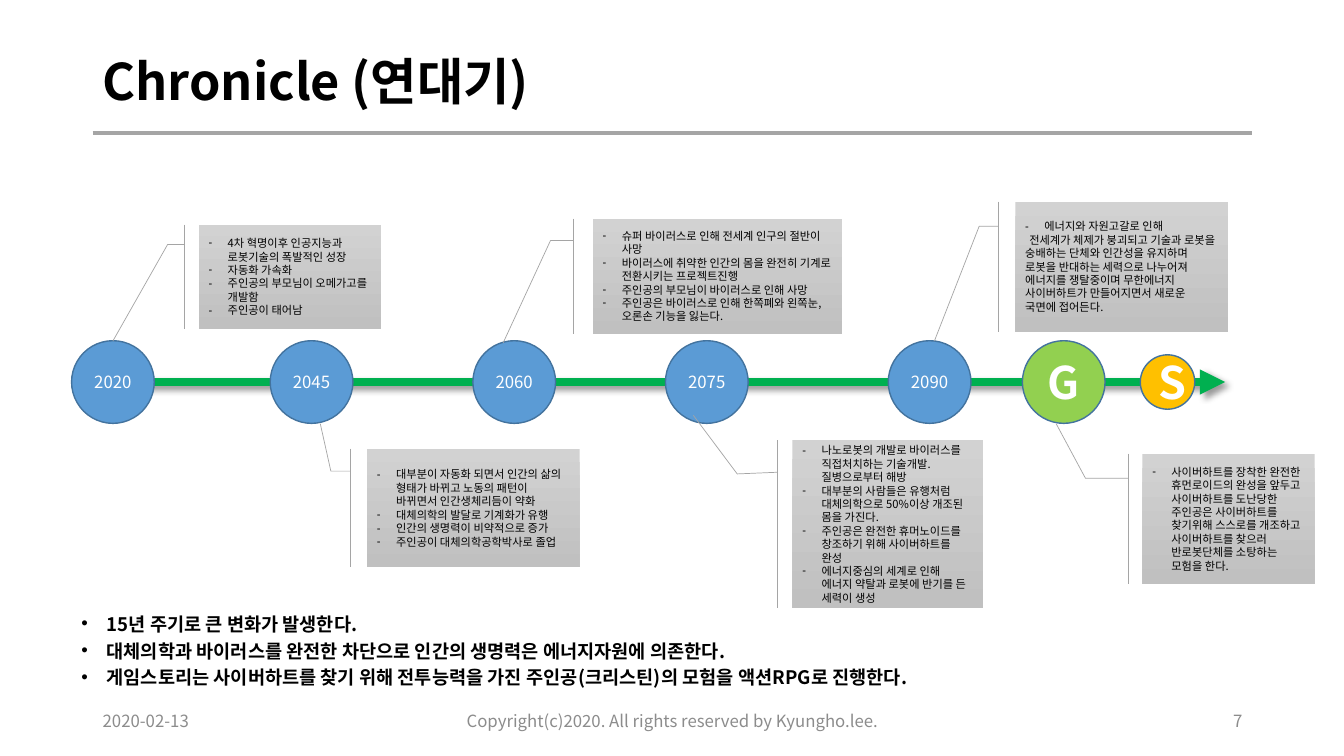
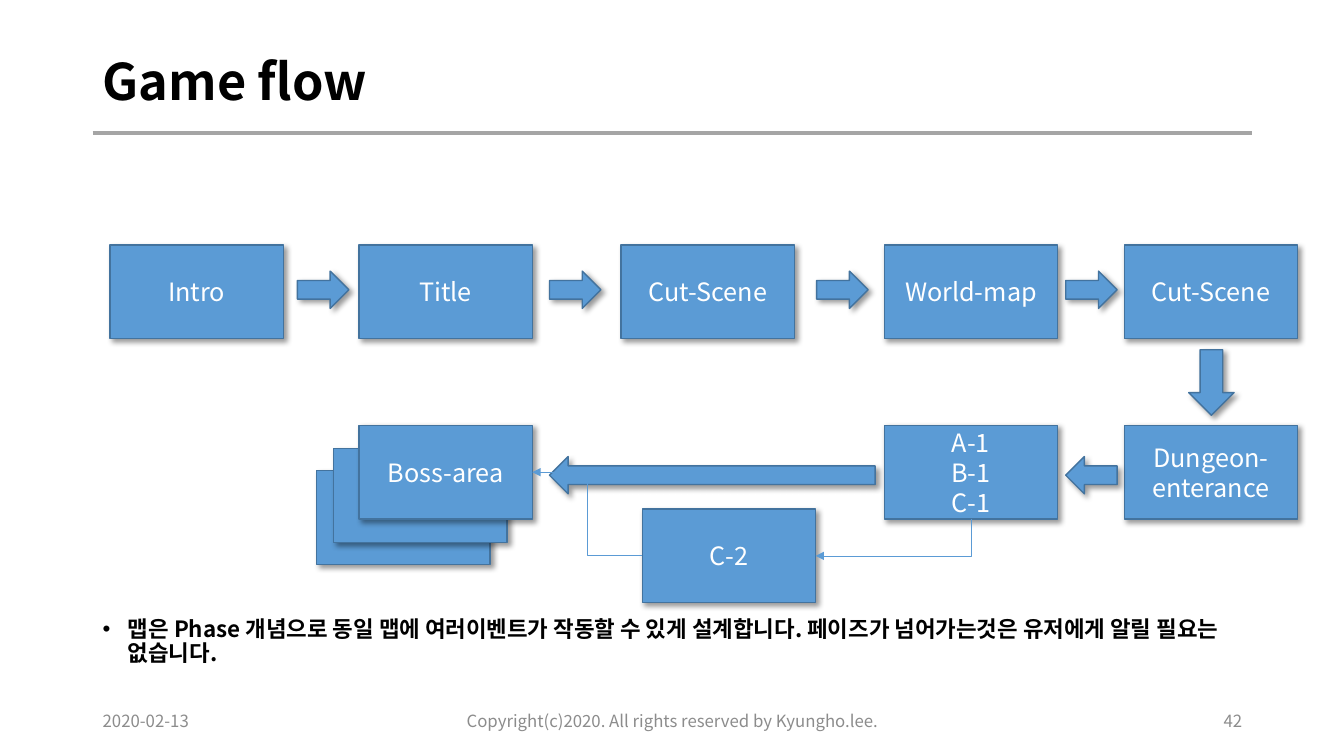
from dataclasses import dataclass
from typing import Any

from lxml.etree import SubElement
from pptx import Presentation
from pptx.dml.color import RGBColor
from pptx.enum.shapes import MSO_CONNECTOR, MSO_SHAPE
from pptx.enum.text import MSO_ANCHOR, PP_ALIGN
from pptx.oxml.ns import qn
from pptx.util import Inches, Pt

BLACK = RGBColor(0x00, 0x00, 0x00)
WHITE = RGBColor(0xFF, 0xFF, 0xFF)
GRAY = RGBColor(0xA5, 0xA5, 0xA5)
MUTED = RGBColor(0x8C, 0x8C, 0x8C)
LIGHT = RGBColor(0xD2, 0xD2, 0xD2)
DARK = RGBColor(0xC0, 0xC0, 0xC0)
BLUE = RGBColor(0x5B, 0x9B, 0xD5)
EDGE = RGBColor(0x43, 0x73, 0x9E)
GREEN = RGBColor(0x00, 0xB0, 0x50)
LIME = RGBColor(0x92, 0xD0, 0x50)
GOLD = RGBColor(0xFF, 0xC0, 0x00)
FONT = "Noto Sans CJK KR"

AXIS = 3.79
BOX_W, BOX_H = 1.72, 0.93
TOP_ROW, LOW_ROW = 2.43, 4.22
ARROW_W, ARROW_H = 0.51, 0.37


@dataclass
class Disc:
    label: str
    mid: float
    size: float = 0.82
    fill: RGBColor = BLUE
    points: float = 12
    bold: bool = False


@dataclass
class Note:
    left: float
    top: float
    width: float
    height: float
    lines: list[str]
    bend: tuple[float, ...] = (0.19, -0.17)
    tip: tuple[float, ...] = (1.12, -0.47)
    tail: str = ""


@dataclass
class Box:
    label: str
    left: float
    top: float


@dataclass
class Arrow:
    kind: MSO_SHAPE
    left: float
    top: float
    width: float = ARROW_W
    height: float = ARROW_H


DISCS = [
    Disc("2020", 1.12),
    Disc("2045", 3.09),
    Disc("2060", 5.1),
    Disc("2075", 7.01),
    Disc("2090", 9.22),
    Disc("G", 10.55, fill=LIME, points=32, bold=True),
    Disc("S", 11.58, 0.54, GOLD, 32, True),
]

NOTES = [
    Note(1.97, 2.23, 1.81, 1.03, [
        "4차 혁명이후 인공지능과 로봇기술의 폭발적인 성장",
        "자동화 가속화",
        "주인공의 부모님이 오메가고를 개발함",
        "주인공이 태어남",
    ]),
    Note(3.64, 4.45, 2.11, 1.18, [
        "대부분이 자동화 되면서 인간의 삶의 형태가 바뀌고 노동의 패턴이 바뀌면서 인간생체리듬이 약화",
        "대체의학의 발달로 기계화가 유행",
        "인간의 생명력이 비약적으로 증가",
        "주인공이 대체의학공학박사로 졸업",
    ], tip=(-0.21, -0.22)),
    Note(7.86, 4.37, 1.89, 1.66, [
        "나노로봇의 개발로 바이러스를 직접처치하는 기술개발. 질병으로부터 해방",
        "대부분의 사람들은 유행처럼 대체의학으로 50%이상 개조된 몸을 가진다.",
        "주인공은 완전한 휴머노이드를 창조하기 위해 사이버하트를 완성",
        "에너지중심의 세계로 인해 에너지 약탈과 로봇에 반기를 든 세력이 생성",
    ], (0.2, -0.29), (-0.15, -0.52)),
    Note(10.07, 2, 2.11, 1.29, ["에너지와 자원고갈로 인해"], tip=(1.07, -0.38),
         tail="전세계가 체제가 붕괴되고 기술과 로봇을 숭배하는 단체와 인간성을 유지하며 "
              "로봇을 반대하는 세력으로 나누어져 에너지를 쟁탈중이며 무한에너지 "
              "사이버하트가 만들어지면서 새로운 국면에 접어든다."),
    Note(5.88, 2.17, 2.47, 1.14, [
        "슈퍼 바이러스로 인해 전세계 인구의 절반이 사망",
        "바이러스에 취약한 인간의 몸을 완전히 기계로 전환시키는 프로젝트진행",
        "주인공의 부모님이 바이러스로 인해 사망",
        "주인공은 바이러스로 인해 한쪽폐와 왼쪽눈, 오론손 기능을 잃는다.",
    ], tip=(1.08, -0.36)),
    Note(11.33, 4.5, 1.71, 1.29, [
        "사이버하트를 장착한 완전한 휴먼로이드의 완성을 앞두고 사이버하트를 도난당한 "
        "주인공은 사이버하트를 찾기위해 스스로를 개조하고 사이버하트를 찾으러 "
        "반로봇단체를 소탕하는 모험을 한다.",
    ], (0.19, -0.33), (-0.23, -0.5)),
]

BOXES = [
    Box("Intro", 1.09, TOP_ROW),
    Box("Title", 3.56, TOP_ROW),
    Box("Cut-Scene", 6.16, TOP_ROW),
    Box("World-map", 8.77, TOP_ROW),
    Box("Cut-Scene", 11.15, TOP_ROW),
    Box("Dungeon-enterance", 11.15, LOW_ROW),
]

ARROWS = [
    *(Arrow(MSO_SHAPE.RIGHT_ARROW, left, 2.69) for left in (2.95, 5.45, 8.1, 10.57)),
    Arrow(MSO_SHAPE.DOWN_ARROW, 11.79, 3.47, 0.45, 0.65),
    Arrow(MSO_SHAPE.LEFT_ARROW, 10.57, 4.53),
    Arrow(MSO_SHAPE.LEFT_ARROW, 5.45, 4.53, 3.23),
]


def write(frame: Any, lines: list[str], *, size: float, color: RGBColor = BLACK,
          bold: bool = False, align: PP_ALIGN = PP_ALIGN.LEFT,
          anchor: MSO_ANCHOR = MSO_ANCHOR.MIDDLE, mark: str = "", hang: float = 0,
          pitch: float = 1, gap: float = 0, tail: str = "") -> None:
    frame.word_wrap = True
    frame.vertical_anchor = anchor
    rows = [(line, mark) for line in lines] + ([(tail, "")] if tail else [])
    for pos, (line, sign) in enumerate(rows):
        para = frame.paragraphs[0] if pos == 0 else frame.add_paragraph()
        para.alignment = align
        para.line_spacing = pitch
        para.space_before = Pt(gap if pos else 0)
        props = para._p.get_or_add_pPr()
        if sign:
            props.set("marL", str(Inches(hang)))
            props.set("indent", str(-Inches(hang)))
            SubElement(props, qn("a:buFont"), typeface="Arial")
            SubElement(props, qn("a:buChar"), char=sign)
        elif tail:
            props.set("indent", str(Inches(0.04)))
        run = para.add_run()
        run.text = line
        font = run.font
        font.size, font.bold, font.name = Pt(size), bold, FONT
        font.color.rgb = color
        SubElement(run._r.get_or_add_rPr(), qn("a:ea"), typeface=FONT)


def label(slide: Any, left: float, top: float, width: float, height: float,
          lines: list[str], **style: Any) -> None:
    box = slide.shapes.add_textbox(Inches(left), Inches(top), Inches(width), Inches(height))
    write(box.text_frame, lines, **style)


def shade(shape: Any, shown: bool = True) -> None:
    props = shape._element.spPr
    effects = props.find(qn("a:effectLst"))
    if effects is None:
        effects = SubElement(props, qn("a:effectLst"))
    if shown:
        cast = SubElement(effects, qn("a:outerShdw"), blurRad=str(Pt(4)), dist=str(Pt(3)),
                          dir="2700000", algn="tl", rotWithShape="0")
        tone = SubElement(cast, qn("a:srgbClr"), val=str(BLACK))
        SubElement(tone, qn("a:alpha"), val="40000")


def form(slide: Any, kind: MSO_SHAPE, left: float, top: float, width: float,
         height: float, fill: RGBColor = BLUE) -> Any:
    shape = slide.shapes.add_shape(kind, Inches(left), Inches(top), Inches(width), Inches(height))
    shape.shadow.inherit = False
    shape.fill.solid()
    shape.fill.fore_color.rgb = fill
    shape.line.color.rgb = EDGE
    shape.line.width = Pt(1)
    return shape


def link(slide: Any, start: tuple[float, float], end: tuple[float, float], color: RGBColor,
         width: float, *, head: bool = False, shadow: bool = False,
         kind: MSO_CONNECTOR = MSO_CONNECTOR.STRAIGHT) -> Any:
    line = slide.shapes.add_connector(kind, *(Inches(n) for n in (*start, *end)))
    line.line.color.rgb = color
    line.line.width = Pt(width)
    if head:
        SubElement(line.line._get_or_add_ln(), qn("a:tailEnd"), type="triangle")
    shade(line, shadow)
    return line


def elbow(slide: Any, first: Any, side: int, last: Any, end: int) -> Any:
    line = link(slide, (0, 0), (1, 1), BLUE, 0.5, head=True, kind=MSO_CONNECTOR.ELBOW)
    line.begin_connect(first, side)
    line.end_connect(last, end)
    return line


def corner(line: Any) -> None:
    left, top, width, height = line.left, line.top, line.width, line.height
    line.left = left + (width - height) // 2
    line.top = top + (height - width) // 2
    line.width, line.height = height, width
    frame = line._element.spPr.find(qn("a:xfrm"))
    for flip in ("flipH", "flipV"):
        frame.attrib.pop(flip, None)
    frame.set("rot", "5400000")
    line._element.spPr.find(qn("a:prstGeom")).set("prst", "bentConnector2")


def base(deck: Any, title: str, page: str) -> Any:
    slide = deck.slides.add_slide(deck.slide_layouts[6])
    link(slide, (0.92, 1.32), (12.42, 1.32), GRAY, 2.25)
    label(slide, 0.92, 0.4, 11.5, 0.87, [title], size=36, bold=True, pitch=0.9)
    for left, width, words, align in (
        (0.92, 3, "2020-02-13", PP_ALIGN.LEFT),
        (4.42, 4.5, "Copyright(c)2020. All rights reserved by Kyungho.lee.", PP_ALIGN.CENTER),
        (9.42, 3, page, PP_ALIGN.RIGHT),
    ):
        label(slide, left, 6.95, width, 0.4, [words], size=12, color=MUTED, align=align)
    return slide


def draw_disc(slide: Any, disc: Disc) -> None:
    half = disc.size / 2
    shape = form(slide, MSO_SHAPE.OVAL, disc.mid - half, AXIS - half, disc.size, disc.size, disc.fill)
    write(shape.text_frame, [disc.label], size=disc.points, color=WHITE, bold=disc.bold,
          align=PP_ALIGN.CENTER)


def draw_note(slide: Any, note: Note) -> None:
    shape = form(slide, MSO_SHAPE.LINE_CALLOUT_2_ACCENT_BAR, note.left, note.top,
                 note.width, note.height)
    for pos, value in enumerate((0.19, -0.08, *note.bend, *note.tip)):
        shape.adjustments[pos] = value
    shape.fill.gradient()
    shape.fill.gradient_angle = 270
    for stop, tone in zip(shape.fill.gradient_stops, (LIGHT, DARK)):
        stop.color.rgb = tone
    shape.line.color.rgb = GRAY
    shape.line.width = Pt(0.5)
    write(shape.text_frame, note.lines, size=8, mark="-", hang=0.19, tail=note.tail)


def draw_box(slide: Any, box: Box) -> Any:
    shape = form(slide, MSO_SHAPE.RECTANGLE, box.left, box.top, BOX_W, BOX_H)
    shade(shape)
    if box.label:
        write(shape.text_frame, box.label.split("\n"), size=18, color=WHITE, align=PP_ALIGN.CENTER)
    return shape


def story(deck: Any) -> None:
    slide = base(deck, "Chronicle (연대기)", "7")
    label(slide, 0.71, 6.09, 11.71, 0.87, [
        "15년 주기로 큰 변화가 발생한다.",
        "대체의학과 바이러스를 완전한 차단으로 인간의 생명력은 에너지자원에 의존한다.",
        "게임스토리는 사이버하트를 찾기 위해 전투능력을 가진 주인공(크리스틴)의 모험을 액션RPG로 진행한다.",
    ], size=13.3, bold=True, anchor=MSO_ANCHOR.TOP, mark="•", hang=0.25, pitch=0.7, gap=8)
    link(slide, (0.92, AXIS), (12.15, AXIS), GREEN, 6, head=True, shadow=True)
    for disc in DISCS:
        draw_disc(slide, disc)
    for note in NOTES:
        draw_note(slide, note)


def flow(deck: Any) -> None:
    slide = base(deck, "Game flow", "42")
    label(slide, 0.92, 6.08, 11.5, 0.68, [
        "맵은 Phase 개념으로 동일 맵에 여러이벤트가 작동할 수 있게 설계합니다. "
        "페이즈가 넘어가는것은 유저에게 알릴 필요는 없습니다.",
    ], size=16, bold=True, anchor=MSO_ANCHOR.TOP, mark="•", hang=0.25, pitch=0.9)
    for box in BOXES:
        draw_box(slide, box)
    for arrow in ARROWS:
        shade(form(slide, arrow.kind, arrow.left, arrow.top, arrow.width, arrow.height))
    for left, top in ((3.14, 4.67), (3.31, 4.45)):
        draw_box(slide, Box("", left, top))
    stage = draw_box(slide, Box("A-1\nB-1\nC-1", 8.77, LOW_ROW))
    boss = draw_box(slide, Box("Boss-area", 3.56, LOW_ROW))
    extra = draw_box(slide, Box("C-2", 6.37, 5.05))
    corner(elbow(slide, stage, 2, extra, 3))
    elbow(slide, extra, 1, boss, 3)


def main() -> None:
    deck = Presentation()
    deck.slide_width, deck.slide_height = Inches(13.33), Inches(7.5)
    story(deck)
    flow(deck)
    deck.save("out.pptx")


if __name__ == "__main__":
    main()
